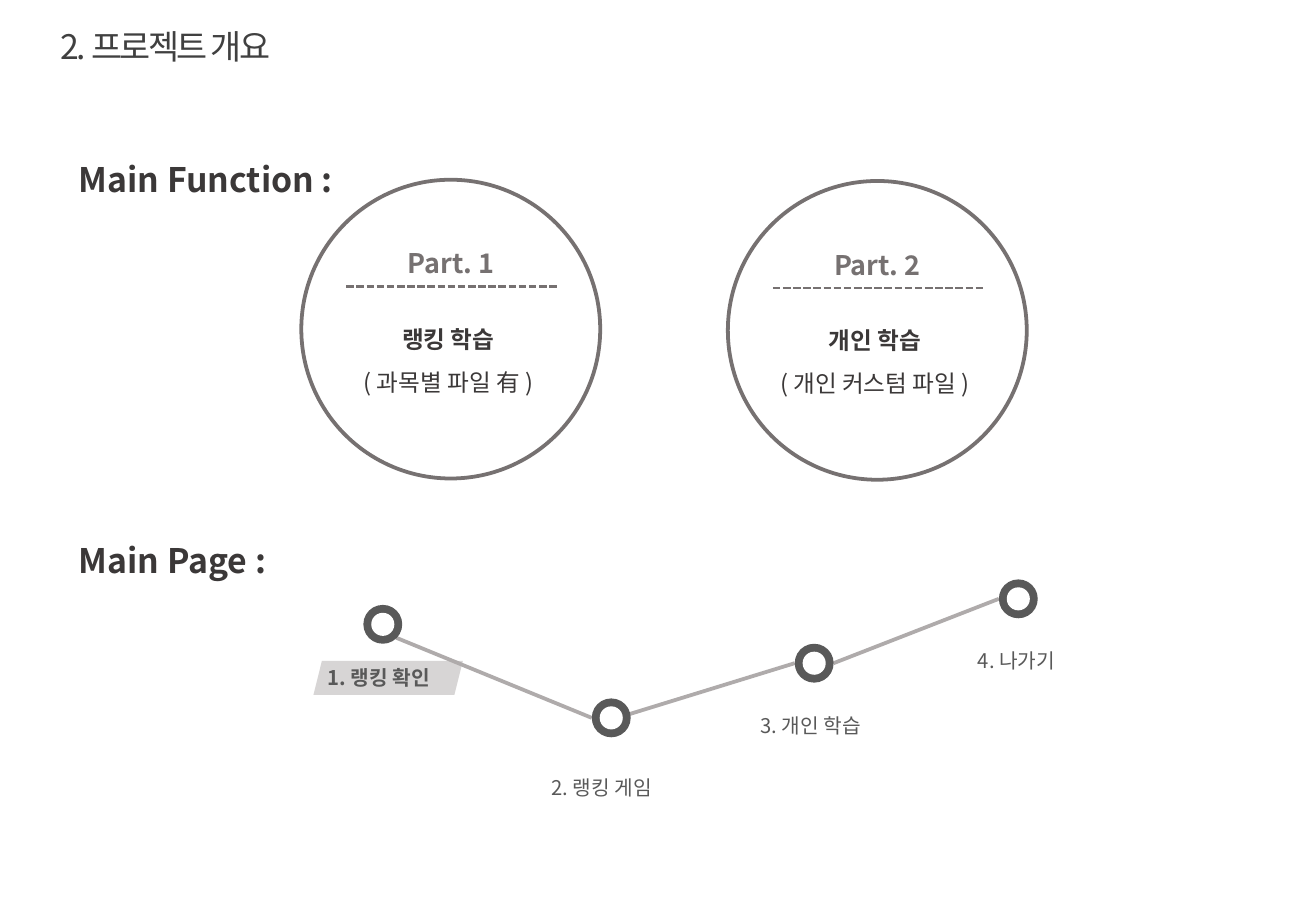
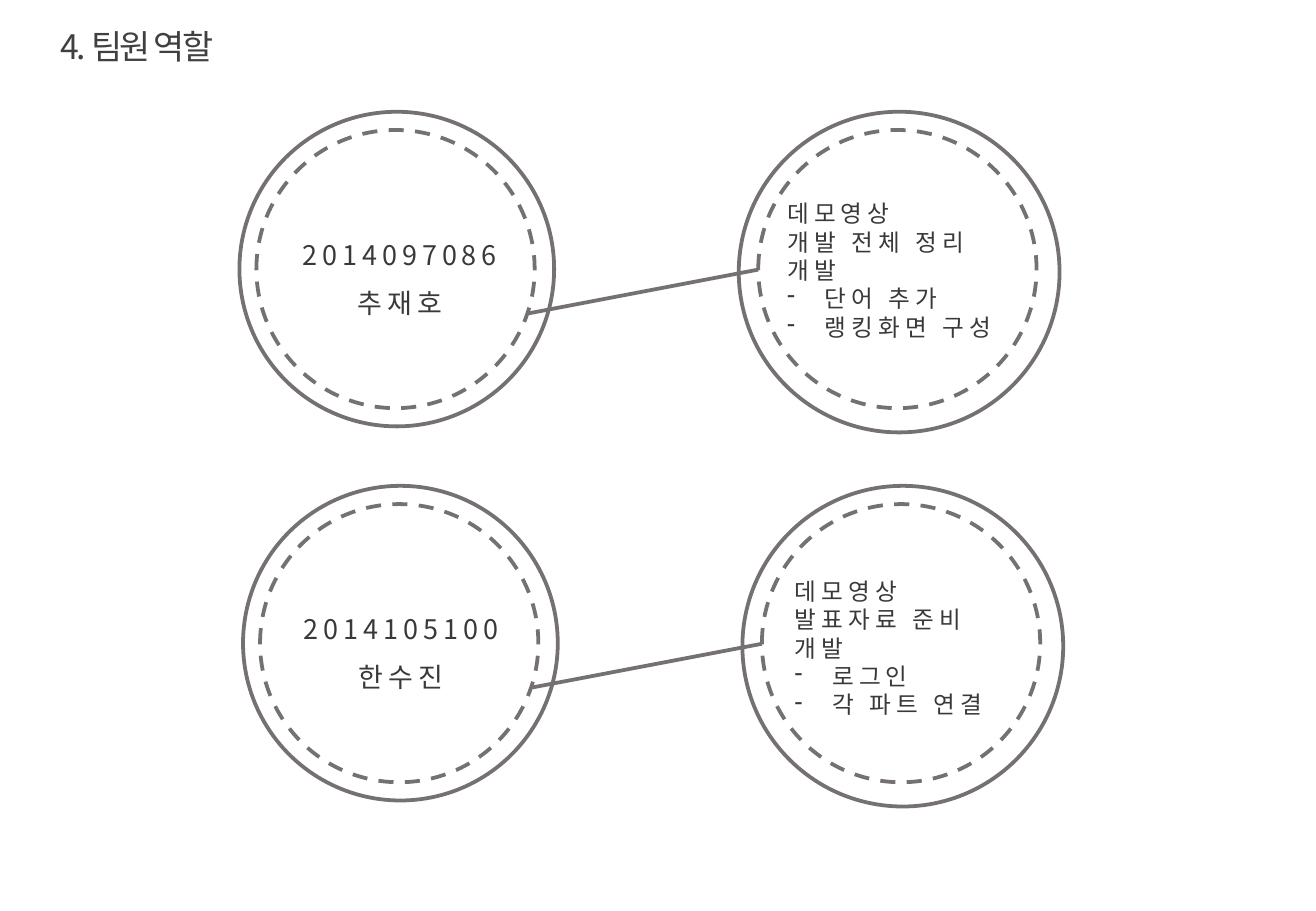
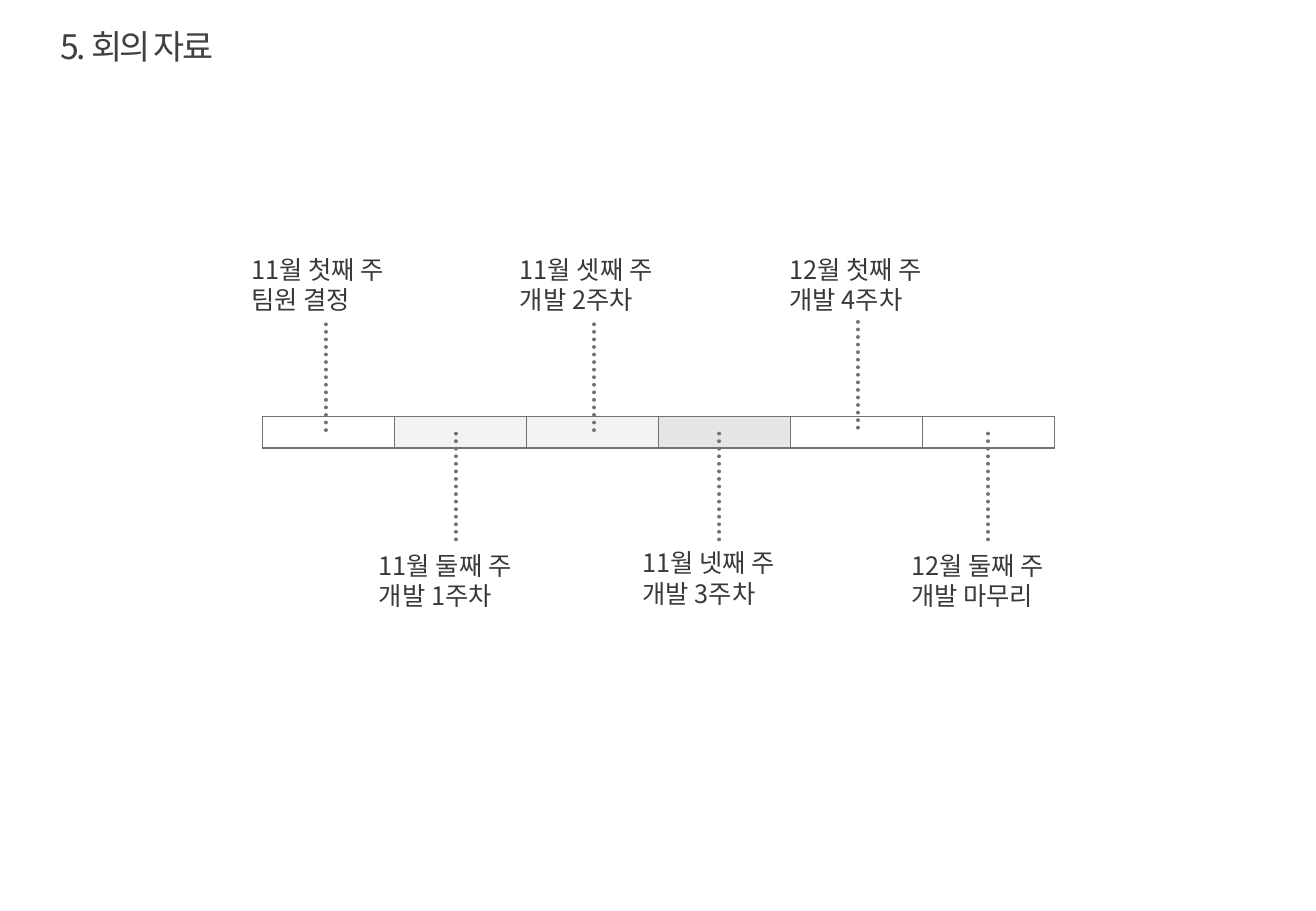
from lxml import etree
from pptx import Presentation
from pptx import util as u
from pptx.dml.color import RGBColor
from pptx.enum import dml, shapes, text
from pptx.oxml.ns import qn

FONT = "Noto Sans CJK KR"
COLORS = {
    "title": "404040", "ink": "3B3838", "outline": "767171", "path": "AFABAB",
    "node": "595959", "white": "FFFFFF", "tag": "9B9797",
    "pale": "F2F2F2", "gray": "E7E6E6",
}
ALIGN = {"left": text.PP_ALIGN.LEFT, "center": text.PP_ALIGN.CENTER,
         "justify": text.PP_ALIGN.JUSTIFY}
DASH, SQUARE, ROUND = dml.MSO_LINE.DASH, dml.MSO_LINE.SQUARE_DOT, dml.MSO_LINE.ROUND_DOT

# Slide 1: section headings, circles (left, top) and page path
HEADINGS = [("Main Function :", 1.09, 2.32), ("Main Page :", 4.23, 2.03)]
PARTS = [
    (2.48, 1.48, "Part. 1", "랭킹 학습", "( 과목별 파일 有 )"),
    (5.99, 1.49, "Part. 2", "개인 학습", "( 개인 커스텀 파일 )"),
]
# Node centre, then label text and its left, top, width
NODES = [
    (3.15, 5.14, "1. 랭킹 확인", 2.6, 5.43, 1.14),
    (5.03, 5.91, "2. 랭킹 게임", 4.44, 6.33, 1.12),
    (6.7, 5.46, "3. 개인 학습", 6.16, 5.82, 1.12),
    (8.38, 4.93, "4. 나가기", 7.95, 5.29, 0.9),
]
NODE_SIZE, HOLE_SIZE = 0.32, 0.19
# Where each link leaves its node, measured from the centre
LINK_STARTS = [(0.11, 0.11), (0.05, 0), (0.16, 0)]

# Slide 2: left and top of each pair of circles, member, duties and their place
MEMBERS = [
    (1.97, 0.92, ["2014097086", "추재호"], 2.16, (6.38, 1.59),
     ["데모영상", "개발 전체 정리", "개발"], ["단어 추가", "랭킹화면 구성"]),
    (2.0, 4.0, ["2014105100", "한수진"], 2.17, (6.44, 4.7),
     ["데모영상", "발표자료 준비", "개발"], ["로그인", "각 파트 연결"]),
]

# Slide 3: cell fills; line x, line top, label left and top, label lines
WEEK_FILLS = [None, "pale", "pale", "gray", None, None]
WEEKS = [
    (2.68, 2.67, 1.97, 2.04, ["11월 첫째 주", "팀원 결정"]),
    (3.75, 3.57, 3.02, 4.48, ["11월 둘째 주", "개발 1주차"]),
    (4.89, 2.67, 4.18, 2.04, ["11월 셋째 주", "개발 2주차"]),
    (5.92, 3.57, 5.19, 4.46, ["11월 넷째 주", "개발 3주차"]),
    (7.06, 2.65, 6.4, 2.04, ["12월 첫째 주", "개발 4주차"]),
    (8.13, 3.57, 7.4, 4.48, ["12월 둘째 주", "개발 마무리"]),
]


def rgb(name):
    return RGBColor.from_string(COLORS[name])


def add_text(page, lines, left, top, width, height, size=14, color="ink", bold=(),
             align="left", spacing=None, tracking=None, wrap=True, bullets=()):
    """Lines are paragraphs; bold holds the indexes of bold ones; bullets follow."""
    box = page.shapes.add_textbox(*map(u.Inches, (left, top, width, height)))
    frame = box.text_frame
    frame.word_wrap = wrap
    frame.auto_size = text.MSO_AUTO_SIZE.SHAPE_TO_FIT_TEXT
    for index, line in enumerate([*lines, *bullets]):
        para = frame.paragraphs[0] if index == 0 else frame.add_paragraph()
        para.alignment = ALIGN[align]
        if spacing:
            para.line_spacing = spacing
        if index >= len(lines):
            props = para._p.get_or_add_pPr()
            props.set("marL", str(u.Inches(0.31)))
            props.set("indent", str(u.Inches(-0.31)))
            etree.SubElement(props, qn("a:buChar")).set("char", "-")
        span = para.add_run()
        span.text = line
        span.font.size = u.Pt(size)
        span.font.bold = index in bold
        span.font.color.rgb = rgb(color)
        span.font.name = FONT
        run_props = span._r.get_or_add_rPr()
        etree.SubElement(run_props, qn("a:ea")).set("typeface", FONT)
        if tracking:
            run_props.set("spc", str(int(tracking * 100)))


def add_outline(page, kind, left, top, width, height, fill=None, line=None, dash=None):
    shape = page.shapes.add_shape(kind, *map(u.Inches, (left, top, width, height)))
    shape.shadow.inherit = False
    if fill:
        shape.fill.solid()
        shape.fill.fore_color.rgb = rgb(fill)
    else:
        shape.fill.background()
    if line:
        shape.line.color.rgb = rgb(line)
        shape.line.width = u.Pt(2.25)
        if dash:
            shape.line.dash_style = dash
    else:
        shape.line.fill.background()
    return shape


def add_circle(page, left, top, size, **style):
    return add_outline(page, shapes.MSO_SHAPE.OVAL, left, top, size, size, **style)


def add_line(page, start, end, color="outline", width=2.25, dash=None):
    line = page.shapes.add_connector(
        shapes.MSO_CONNECTOR.STRAIGHT, *map(u.Inches, (*start, *end)))
    line.line.color.rgb = rgb(color)
    line.line.width = u.Pt(width)
    if dash:
        line.line.dash_style = dash
    if dash == ROUND:
        line.line._get_or_add_ln().set("cap", "rnd")
    etree.SubElement(line._element.spPr, qn("a:effectLst"))


def add_page(deck, title, title_width):
    page = deck.slides.add_slide(deck.slide_layouts[6])
    add_text(page, [title], 0.4, 0.16, title_width, 0.44, size=20, color="title",
             tracking=-1.5)
    return page


def build_overview(deck):
    page = add_page(deck, "2. 프로젝트 개요", 2.1)
    for heading, top, width in HEADINGS:
        add_text(page, [heading], 0.55, top, width, 0.54, size=20, bold=[0], spacing=1.5)

    # Main functions
    for left, top, part, name, note in PARTS:
        add_circle(page, left, top, 2.46, line="outline")
        add_text(page, [part], left - 0.33, top + 0.37, 3.12, 0.45, size=16,
                 color="outline", bold=[0], align="center", spacing=1.5)
        add_line(page, (left + 0.37, top + 0.88), (left + 2.1, top + 0.88),
                 width=1.5, dash=SQUARE)
        add_text(page, [name, note], left - 0.35, top + 1.03, 3.12, 0.76,
                 bold=[0], align="center", spacing=1.5)

    # Tag behind the current page, 40% opaque
    tag = add_outline(page, shapes.MSO_SHAPE.PARALLELOGRAM, 2.58, 5.44, 1.23, 0.28,
                      fill="tag")
    tint = tag._element.spPr.find(qn("a:solidFill"))[0]
    etree.SubElement(tint, qn("a:alpha")).set("val", "40000")

    # Links first, so that the nodes cover their ends
    for node, target, (dx, dy) in zip(NODES, NODES[1:], LINK_STARTS):
        add_line(page, (node[0] + dx, node[1] + dy),
                 (target[0] - NODE_SIZE / 2, target[1]), color="path")
    for index, (x, y, label, left, top, width) in enumerate(NODES):
        for size, fill in ((NODE_SIZE, "node"), (HOLE_SIZE, "white")):
            add_circle(page, x - size / 2, y - size / 2, size, fill=fill)
        add_text(page, [label], left, top, width, 0.3, size=12, color="node",
                 bold=[0] if index == 0 else (), align="justify", wrap=False)


def build_roles(deck):
    page = add_page(deck, "4. 팀원 역할", 1.59)
    for left, top, member, member_left, duty_at, duties, tasks in MEMBERS:
        for dx, size, inset in ((0, 2.59, 0.14), (4.11, 2.64, 0.16)):
            add_circle(page, left + dx, top, size, line="outline")
            add_circle(page, left + dx + inset, top + 0.15, 2.29, fill="white",
                       line="outline", dash=DASH)
        add_line(page, (left + 2.38, top + 1.66), (left + 4.27, top + 1.3))
        add_text(page, member, member_left, top + 0.86, 2.26, 0.86, size=16,
                 align="center", spacing=1.5, tracking=3)
        add_text(page, duties, *duty_at, 2.45, 1.28, tracking=3, bullets=tasks)


def build_schedule(deck):
    page = add_page(deck, "5. 회의 자료", 1.59)

    # Week bar
    graphic = page.shapes.add_table(
        1, len(WEEK_FILLS), *map(u.Inches, (2.16, 3.43, 6.52, 0.26)))
    table = graphic.table
    table.first_row = table.horz_banding = False
    for cell, fill in zip(table.rows[0].cells, WEEK_FILLS):
        cell.margin_left = cell.margin_right = cell.margin_top = cell.margin_bottom = 0
        para = cell.text_frame.paragraphs[0]
        etree.SubElement(para._p, qn("a:endParaRPr")).set("sz", "800")
        props = cell._tc.get_or_add_tcPr()
        for side in ("lnL", "lnR", "lnT", "lnB"):
            border = etree.SubElement(props, qn("a:" + side), w=str(u.Pt(1)))
            paint = etree.SubElement(border, qn("a:solidFill"))
            etree.SubElement(paint, qn("a:srgbClr")).set("val", COLORS["outline"])
        if fill:
            cell.fill.solid()
            cell.fill.fore_color.rgb = rgb(fill)
        else:
            cell.fill.background()

    # Dotted markers and labels
    for x, y, left, top, label in WEEKS:
        add_line(page, (x, y), (x, y + 0.9), dash=ROUND)
        add_text(page, label, left, top, 1.47, 0.61, size=15)


def main():
    deck = Presentation()
    deck.slide_width, deck.slide_height = u.Inches(10.83), u.Inches(7.5)
    build_overview(deck)
    build_roles(deck)
    build_schedule(deck)
    deck.save("out.pptx")


if __name__ == "__main__":
    main()
